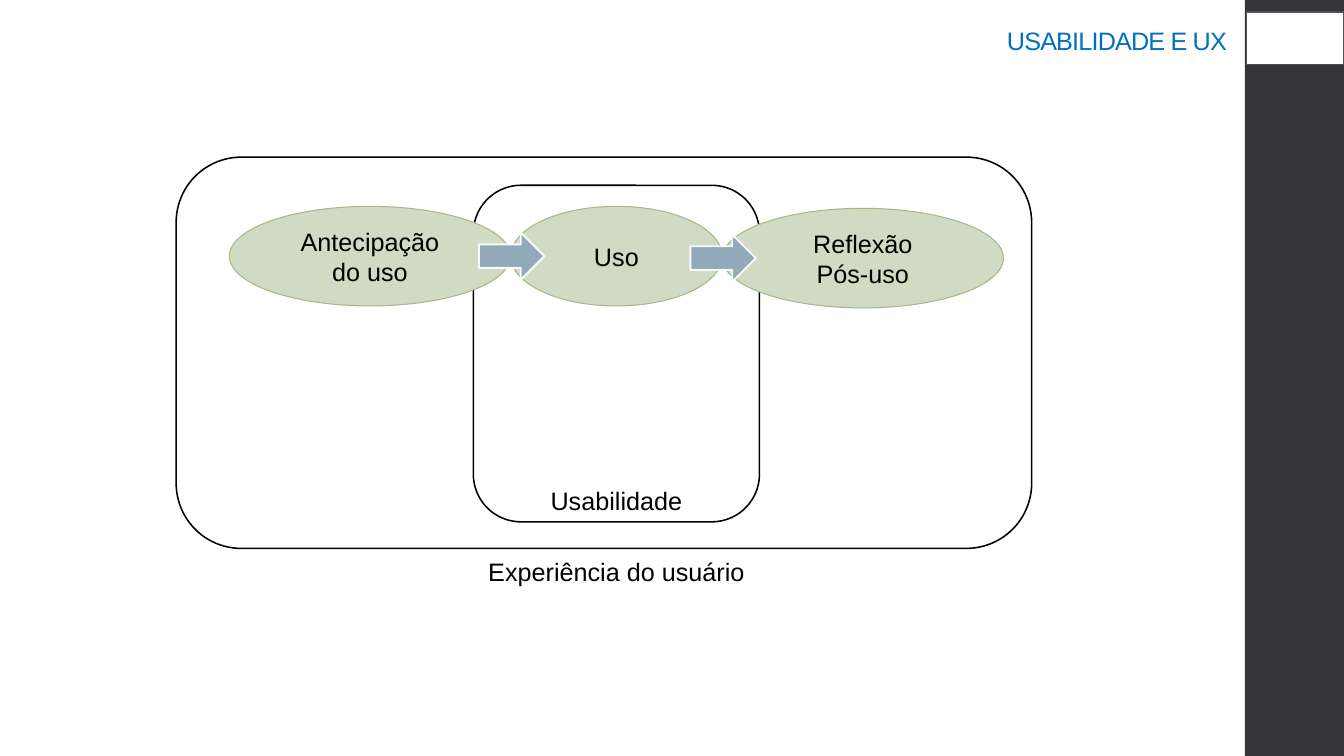
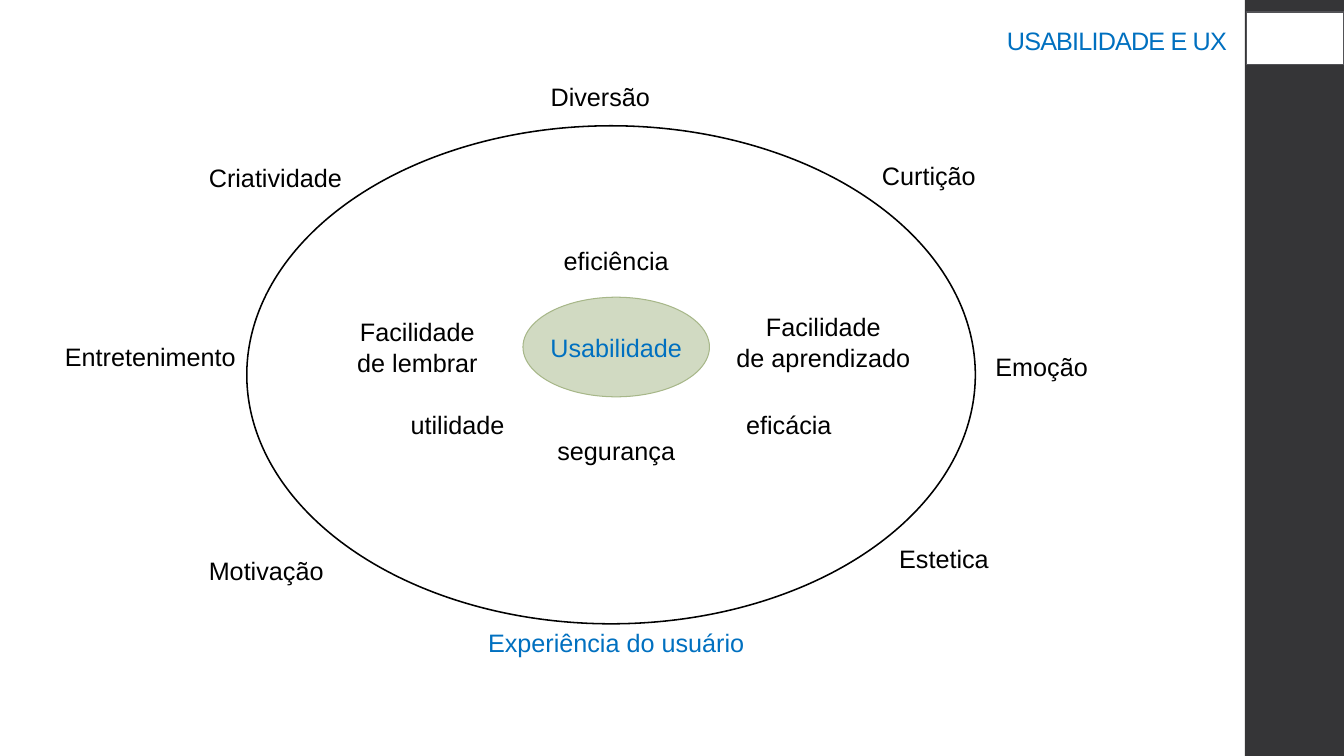
from pptx import Presentation
from pptx.dml.color import RGBColor
from pptx.enum.shapes import MSO_SHAPE
from pptx.enum.text import MSO_ANCHOR, PP_ALIGN
from pptx.util import Cm, Pt

RECTANGLE = MSO_SHAPE.RECTANGLE
ROUNDED = MSO_SHAPE.ROUNDED_RECTANGLE
OVAL = MSO_SHAPE.OVAL
ARROW = MSO_SHAPE.RIGHT_ARROW
CENTER, RIGHT = PP_ALIGN.CENTER, PP_ALIGN.RIGHT
MIDDLE, BOTTOM = MSO_ANCHOR.MIDDLE, MSO_ANCHOR.BOTTOM

COLORS = {
    "white": "FFFFFF",
    "text": "000000",
    "accent": "0070C0",
    "band": "353537",
    "number_line": "525256",
    "oval": "D1DAC2",
    "oval_line": "A7B789",
    "arrow": "92A9B9",
    "arrow_line": "F9F9F9",
}
FONT = "Arial"
FONT_SIZE = 18
SLIDE_WIDTH, SLIDE_HEIGHT = 33.87, 19.05
BAND_LEFT = 31.37
OVAL_HEIGHT = 2.51
LABEL_WIDTH, LINE_HEIGHT = 7.2, 0.8


def color(name):
    return RGBColor.from_string(COLORS[name])


def write_text(shape, text, ink="text", align=CENTER, anchor=MIDDLE,
               line_spacing=None, tracking=None):
    """Write one paragraph per line of text; tracking is in hundredths of a point."""
    frame = shape.text_frame
    frame.word_wrap = False
    frame.vertical_anchor = anchor
    for index, line in enumerate(text.split("\n")):
        paragraph = frame.add_paragraph() if index else frame.paragraphs[0]
        paragraph.alignment = align
        if line_spacing:
            paragraph.line_spacing = line_spacing
        run = paragraph.add_run()
        run.text = line
        run.font.name = FONT
        run.font.size = Pt(FONT_SIZE)
        run.font.color.rgb = color(ink)
        if tracking:
            run._r.get_or_add_rPr().set("spc", str(tracking))


def add_shape(slide, kind, box, fill="white", line="text", line_width=1.1):
    shape = slide.shapes.add_shape(kind, *map(Cm, box))
    shape.shadow.inherit = False
    shape.fill.solid()
    shape.fill.fore_color.rgb = color(fill)
    if line:
        shape.line.color.rgb = color(line)
        shape.line.width = Pt(line_width)
    else:
        shape.line.fill.background()
    return shape


def add_text_box(slide, box, text, **text_format):
    write_text(slide.shapes.add_textbox(*map(Cm, box)), text, **text_format)


def add_label(slide, center_x, center_y, text, **text_format):
    height = LINE_HEIGHT * len(text.split("\n"))
    box = (center_x - LABEL_WIDTH / 2, center_y - height / 2, LABEL_WIDTH, height)
    add_text_box(slide, box, text, **text_format)


def add_oval(slide, box, text, **text_format):
    oval = add_shape(slide, OVAL, box, "oval", "oval_line", 0.75)
    write_text(oval, text, **text_format)


def add_slide(presentation, title):
    """Add a slide with the side band, the number box and the title."""
    slide = presentation.slides.add_slide(presentation.slide_layouts[6])
    band_width = SLIDE_WIDTH - BAND_LEFT
    add_shape(slide, RECTANGLE, (BAND_LEFT, 0, band_width, SLIDE_HEIGHT), "band", None)
    add_shape(slide, RECTANGLE, (BAND_LEFT + 0.04, 0.31, 2.46, 1.32), line="number_line")
    add_text_box(slide, (22.99, 0.49, 8.18, 1.04), title, ink="accent", align=RIGHT,
                 anchor=BOTTOM, line_spacing=0.9, tracking=-60)
    return slide


def add_usage_stages(slide, left, top, stages):
    """Set ovals side by side, with an arrow over each joint."""
    arrow_width, arrow_height = 1.65, 1.19
    for index, (text, width, drop) in enumerate(stages):
        add_oval(slide, (left, top + drop, width, OVAL_HEIGHT), text)
        if index:
            arrow_top = top + drop + (OVAL_HEIGHT - arrow_height) / 2
            add_shape(slide, ARROW, (left - 0.8, arrow_top, arrow_width, arrow_height),
                      "arrow", "arrow_line", 1.35)
        left += width


def add_experience_frame(slide, left, top, width, height):
    inner_left, inner_top, inner_width, inner_height = left + 7.49, top + 0.71, 7.21, 8.48
    label_x = inner_left + inner_width / 2
    add_shape(slide, ROUNDED, (left, top, width, height))
    add_shape(slide, ROUNDED, (inner_left, inner_top, inner_width, inner_height))
    add_label(slide, label_x, inner_top + inner_height - 0.53, "Usabilidade")
    add_label(slide, label_x, top + height + 0.58, "Experiência do usuário")
    add_usage_stages(slide, left + 1.34, top + 1.24, [
        ("Antecipação\ndo uso", 7.09, 0),
        ("Uso", 5.33, 0),
        ("Reflexão\nPós-uso", 7.09, 0.05),
    ])


def add_experience_map(slide, left, top, width, height):
    """Draw the large oval and place the goals by offset from its centre."""
    center_x, center_y = left + width / 2, top + height / 2
    core_x, core_y, core_width = center_x + 0.13, center_y - 0.7, 4.7
    usability_goals = [
        ("eficiência", 0.13, -2.87),
        ("Facilidade\nde aprendizado", 5.35, -0.83),
        ("eficácia", 4.48, 1.24),
        ("segurança", 0.13, 1.9),
        ("utilidade", -3.87, 1.24),
        ("Facilidade\nde lembrar", -4.88, -0.7),
    ]
    experience_goals = [
        ("Diversão", -0.27, -7.01),
        ("Curtição", 8.01, -5.03),
        ("Emoção", 10.85, -0.2),
        ("Estetica", 8.39, 4.62),
        ("Motivação", -8.69, 4.93),
        ("Entretenimento", -11.61, -0.46),
        ("Criatividade", -8.46, -4.98),
    ]
    add_shape(slide, OVAL, (left, top, width, height))
    core_box = (core_x - core_width / 2, core_y - OVAL_HEIGHT / 2, core_width, OVAL_HEIGHT)
    add_oval(slide, core_box, "Usabilidade", ink="accent")
    for text, offset_x, offset_y in usability_goals + experience_goals:
        add_label(slide, center_x + offset_x, center_y + offset_y, text)
    add_label(slide, core_x, top + height + 0.48, "Experiência do usuário", ink="accent")


def main():
    presentation = Presentation()
    presentation.slide_width = Cm(SLIDE_WIDTH)
    presentation.slide_height = Cm(SLIDE_HEIGHT)
    title = "USABILIDADE E UX"
    add_experience_frame(add_slide(presentation, title), 4.44, 3.96, 21.56, 9.86)
    add_experience_map(add_slide(presentation, title), 6.22, 3.17, 18.36, 12.55)
    presentation.save("out.pptx")


if __name__ == "__main__":
    main()
